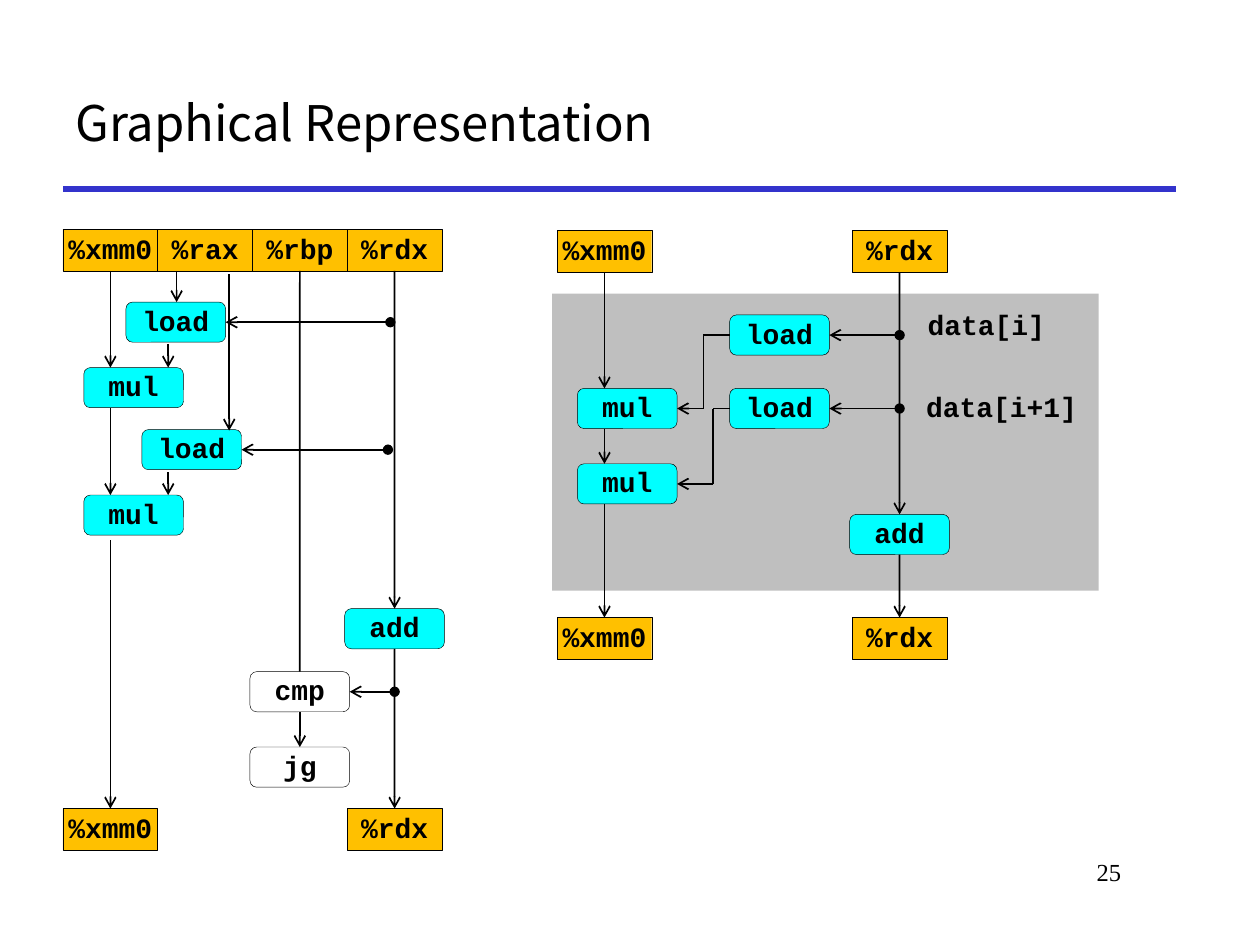
from lxml import etree
from pptx import Presentation
from pptx import util as u
from pptx.dml.color import RGBColor
from pptx.enum import shapes, text
from pptx.oxml.ns import qn

HUE = {"ink": "000000", "rule": "3333CC", "reg": "FFC000",
       "op": "00FFFF", "plain": "FFFFFF", "loop": "BFBFBF"}
CODE = {"name": "Courier New", "size": u.Pt(16), "bold": True}
HEAD = {"name": "Noto Sans CJK KR", "size": u.Pt(28), "bold": False}
PAGE = {"name": "Times New Roman", "size": u.Pt(14)}
FLUSH = {"margin_left": 0, "margin_right": 0, "margin_top": 0, "margin_bottom": 0,
         "vertical_anchor": text.MSO_ANCHOR.MIDDLE}
REG_W, REG_H = 1.91, 0.84
OP_W, OP_H = 2.01, 0.81
TOP, LEFT, BOTTOM, RIGHT = range(4)


def rgb(key):
    return RGBColor.from_string(HUE[key])


def apply(obj, form):
    for key, val in form.items():
        setattr(obj, key, val)


def write(frame, words, font, align, space=0.9):
    frame.text = words
    para = frame.paragraphs[0]
    apply(para, {"alignment": align, "line_spacing": space})
    apply(para.runs[0].font, font)
    para.runs[0].font.color.rgb = rgb("ink")


class Board:
    def __init__(self, slide, left, top):
        self.slide = slide
        self.left, self.top = left, top

    def spot(self, x, y):
        return u.Cm(self.left + x), u.Cm(self.top + y)

    def block(self, kind, x, y, wide, high, hue):
        box = self.slide.shapes.add_shape(kind, *self.spot(x, y), u.Cm(wide), u.Cm(high))
        box.shadow.inherit = False
        box.fill.solid()
        box.fill.fore_color.rgb = rgb(hue)
        box.line.fill.background()
        return box

    def node(self, kind, words, x, y, wide, high, hue):
        box = self.block(kind, x, y, wide, high, hue)
        box.line.color.rgb = rgb("ink")
        box.line.width = u.Pt(0.25)
        apply(box.text_frame, FLUSH)
        write(box.text_frame, words, CODE, text.PP_ALIGN.CENTER)
        return box

    def reg(self, words, x, y):
        return self.node(shapes.MSO_SHAPE.RECTANGLE, words, x, y, REG_W, REG_H, "reg")

    def op(self, words, x, y, hue="op"):
        return self.node(shapes.MSO_SHAPE.ROUNDED_RECTANGLE, words, x, y, OP_W, OP_H, hue)

    def label(self, words, x, y, wide, high, font, align, space=0.9):
        box = self.slide.shapes.add_textbox(*self.spot(x, y), u.Cm(wide), u.Cm(high))
        box.text_frame.word_wrap = True
        write(box.text_frame, words, font, align, space)

    def link(self, start, end, head=None, tail="arrow", hue="ink", width=1):
        free = [(0, 0) if hasattr(p[0], "shape_id") else self.spot(*p) for p in (start, end)]
        line = self.slide.shapes.add_connector(
            shapes.MSO_CONNECTOR.STRAIGHT, *free[0], *free[1])
        for point, join in ((start, line.begin_connect), (end, line.end_connect)):
            if hasattr(point[0], "shape_id"):
                join(*point)
        line.line.color.rgb = rgb(hue)
        line.line.width = u.Pt(width)
        props = line.element.spPr
        for tag, mark in (("a:headEnd", head), ("a:tailEnd", tail)):
            if mark:
                etree.SubElement(props.find(qn("a:ln")), qn(tag), type=mark)
        etree.SubElement(props, qn("a:effectLst"))


def frame(slide, left, top):
    board = Board(slide, left, top)
    title = slide.shapes.title
    spot = board.spot(0, 0)
    apply(title, {"left": spot[0], "top": spot[1],
                  "width": u.Cm(22.43), "height": u.Cm(2.54)})
    apply(title.text_frame, {"vertical_anchor": text.MSO_ANCHOR.MIDDLE, "word_wrap": True,
                             "auto_size": text.MSO_AUTO_SIZE.NONE})
    write(title.text_frame, "Graphical Representation", HEAD, text.PP_ALIGN.LEFT)
    board.link((0, 2.54), (22.43, 2.54), tail=None, hue="rule", width=3)
    board.label("25", 17.98, 15.88, 3.6, 1.27, PAGE, text.PP_ALIGN.RIGHT, 1)


def full_flow(slide, left, top):
    board = Board(slide, left, top)
    names = ["%xmm0", "%rax", "%rbp", "%rdx"]
    xmm, rax, rbp, rdx = [board.reg(n, i * REG_W, 0) for i, n in enumerate(names)]
    xmm_out, rdx_out = [board.reg(names[i], i * REG_W, 11.68) for i in (0, 3)]
    load, load_b = board.op("load", 1.27, 1.47), board.op("load", 1.59, 4.04)
    board.op("mul", 0.42, 2.79)
    board.op("mul", 0.42, 5.36)
    add = board.op("add", 5.68, 7.65)
    cmp, jump = board.op("cmp", 3.77, 8.92, "plain"), board.op("jg", 3.77, 10.44, "plain")

    xmm_x, rdx_x = REG_W / 2, REG_W * 3.5
    for start, end in [
        ((xmm, BOTTOM), (xmm_x, 2.79)),
        ((xmm_x, 3.6), (xmm_x, 5.36)),
        ((xmm_x, 6.27), (xmm_out, TOP)),
        ((2.29, REG_H), (2.29, 1.47)),
        ((3.35, 0.91), (3.35, 4.06)),
        ((2.12, 2.31), (2.12, 2.79)),
        ((2.12, 4.9), (2.12, 5.36)),
        ((rdx, BOTTOM), (add, TOP)),
        ((add, BOTTOM), (rdx_out, TOP)),
        ((cmp, BOTTOM), (jump, TOP)),
    ]:
        board.link(start, end)
    board.link((rbp, BOTTOM), (cmp, TOP), tail=None)
    for x, y, goal in ((6.6, 1.47, load), (6.55, 4.04, load_b), (rdx_x, 8.92, cmp)):
        board.link((x, y + OP_H / 2), (goal, RIGHT), head="oval")


def loop_flow(slide, left, top):
    board = Board(slide, left, top)
    board.block(shapes.MSO_SHAPE.RECTANGLE, 0, 1.27, 11.02, 5.99, "loop")
    xmm, xmm_out = [board.reg("%xmm0", 0.1, y) for y in (0, 7.8)]
    rdx, rdx_out = [board.reg("%rdx", 6.05, y) for y in (0, 7.8)]
    add = board.op("add", 6, 5.72)
    rows = [("data[i]", 7.32, 1.5, 3.07, 1.7, 3.18, 3.05),
            ("data[i+1]", 7.29, 3.15, 3.73, 3.18, 4.7, 3.25)]
    xmm_x, rdx_x = 0.1 + REG_W / 2, 6.05 + REG_W / 2
    for words, x, y, wide, load_y, mul_y, bend in rows:
        load, mul = board.op("load", 3.58, load_y), board.op("mul", 0.51, mul_y)
        high, low = (bend, load_y + OP_H / 2), (bend, mul_y + OP_H / 2)
        board.link((rdx_x, high[1]), (load, RIGHT), head="oval")
        board.link((load, LEFT), high, tail=None)
        board.link(high, low, tail=None)
        board.link(low, (mul, RIGHT))
        board.label(words, x, y, wide, 0.86, CODE, text.PP_ALIGN.LEFT)
    for start, end in [
        ((xmm, BOTTOM), (xmm_x, 3.18)),
        ((xmm_x, 3.99), (xmm_x, 4.7)),
        ((xmm_x, 5.51), (xmm_out, TOP)),
        ((rdx, BOTTOM), (add, TOP)),
        ((add, BOTTOM), (rdx_out, TOP)),
    ]:
        board.link(start, end)


def main():
    deck = Presentation()
    apply(deck, {"slide_width": u.Cm(25.4), "slide_height": u.Cm(19.05)})
    slide = deck.slides.add_slide(deck.slide_layouts[5])
    frame(slide, 1.27, 1.27)
    full_flow(slide, 1.27, 4.62)
    loop_flow(slide, 11.13, 4.65)
    deck.save("out.pptx")


if __name__ == "__main__":
    main()
